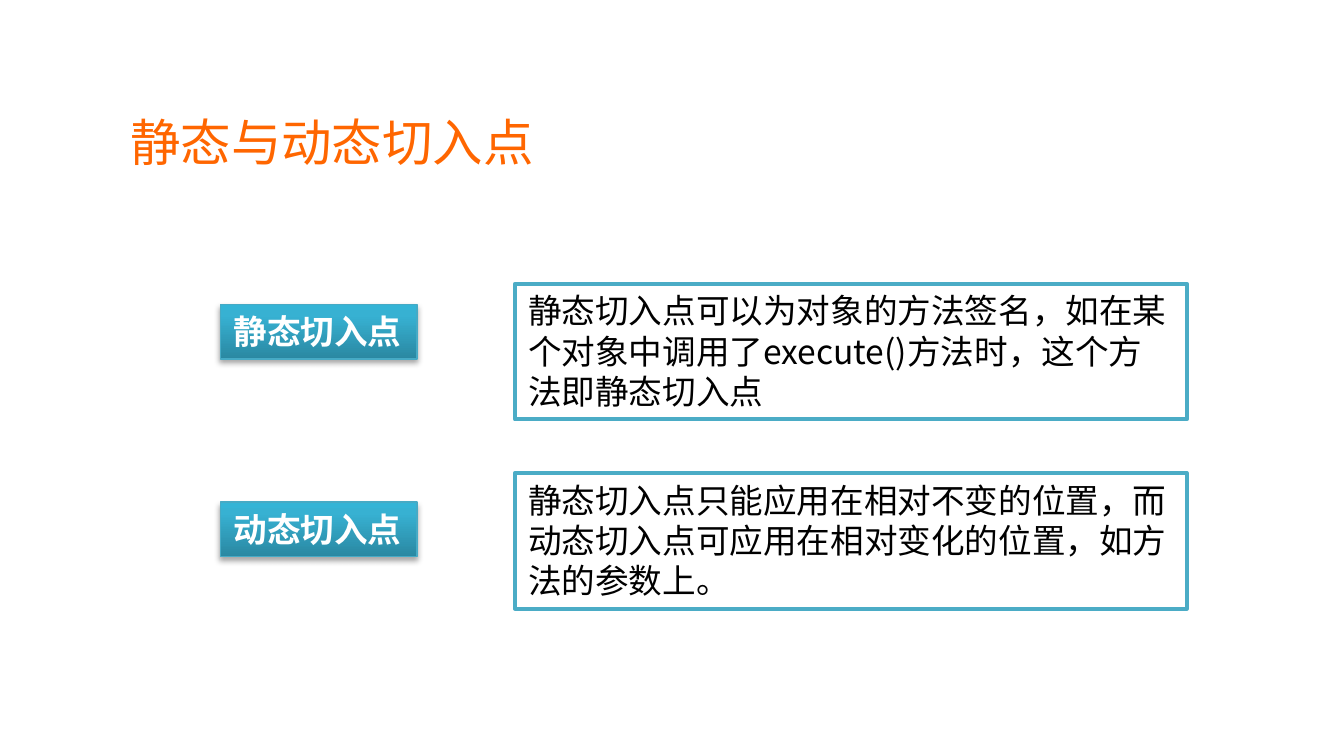
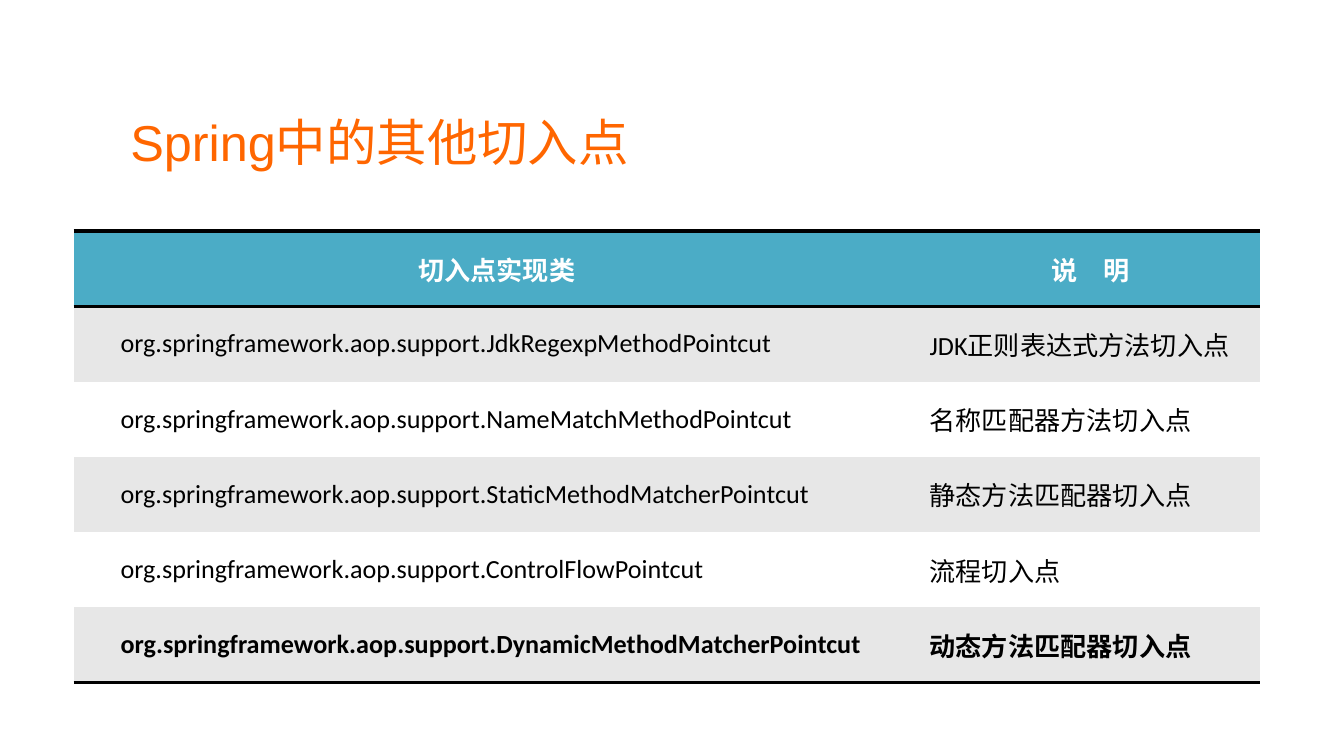
from lxml import etree
from copy import deepcopy
from pptx import Presentation
from pptx.dml.color import RGBColor
from pptx.enum.shapes import MSO_SHAPE
from pptx.enum.text import MSO_ANCHOR, MSO_AUTO_SIZE, PP_ALIGN
from pptx.oxml import parse_xml
from pptx.oxml.ns import nsdecls, qn
from pptx.util import Pt

ORANGE = RGBColor(0xFF, 0x66, 0x00)
TEAL = RGBColor(0x4B, 0xAC, 0xC6)
TEAL_EDGE = RGBColor(0x46, 0xAA, 0xC5)
TEAL_STOPS = [(0, RGBColor(0x2A, 0x88, 0xA2)),
              (0.8, RGBColor(0x37, 0xB1, 0xD2)),
              (1, RGBColor(0x34, 0xB4, 0xD6))]
GRAY = RGBColor(0xE7, 0xE7, 0xE7)
WHITE = RGBColor(0xFF, 0xFF, 0xFF)
BLACK = RGBColor(0, 0, 0)

TITLE_BOX = (64.8, 48.2, 514.8, 55.4)
NO_TABLE_STYLE = "{2D5ABB26-0587-4C30-8999-92F81FD0307C}"


def write(tf, text, size=18, font="Calibri", color=BLACK, bold=False,
          align=PP_ALIGN.LEFT):
    """Put text into the first paragraph and return that paragraph."""
    p = tf.paragraphs[0]
    p.alignment = align
    r = p.add_run()
    r.text = text
    r.font.size, r.font.name, r.font.bold = Pt(size), font, bold
    r.font.color.rgb = color
    return p


def set_insets(obj, x, y):
    obj.margin_left = obj.margin_right = Pt(x)
    obj.margin_top = obj.margin_bottom = Pt(y)


def add_titled_slide(prs, title):
    s = prs.slides.add_slide(prs.slide_layouts[5])
    sp = s.shapes.title
    sp.left, sp.top, sp.width, sp.height = map(Pt, TITLE_BOX)
    tf = sp.text_frame
    set_insets(tf, 5, 2.9)
    tf.vertical_anchor = MSO_ANCHOR.MIDDLE
    write(tf, title, size=27, font="Arial", color=ORANGE)
    return s


def add_box(s, box, line, width, wrap):
    sp = s.shapes.add_shape(MSO_SHAPE.RECTANGLE, *map(Pt, box))
    sp.shadow.inherit = False
    sp.line.color.rgb, sp.line.width = line, Pt(width)
    tf = sp.text_frame
    tf.word_wrap = wrap
    tf.auto_size = MSO_AUTO_SIZE.SHAPE_TO_FIT_TEXT
    tf.vertical_anchor = MSO_ANCHOR.TOP
    return sp


def add_label(s, box, text):
    """Gradient label with a soft shadow below it."""
    sp = add_box(s, box, TEAL_EDGE, 0.75, wrap=False)
    sp.fill.gradient()
    sp.fill.gradient_angle = 90
    stops = sp._element.spPr.find(qn("a:gradFill")).find(qn("a:gsLst"))
    stops.append(deepcopy(stops[-1]))
    for stop, (position, color) in zip(sp.fill.gradient_stops, TEAL_STOPS):
        stop.position, stop.color.rgb = position, color
    sp._element.spPr.find(qn("a:effectLst")).append(parse_xml(
        f'<a:outerShdw {nsdecls("a")} blurRad="{Pt(3.1)}" dist="{Pt(1.8)}" '
        'dir="5400000" rotWithShape="0"><a:srgbClr val="000000">'
        '<a:alpha val="35000"/></a:srgbClr></a:outerShdw>'))
    write(sp.text_frame, text, color=WHITE, bold=True)


def add_panel(s, box, text):
    """White outlined explanation."""
    sp = add_box(s, box, TEAL, 2, wrap=True)
    sp.fill.solid()
    sp.fill.fore_color.rgb = WHITE
    write(sp.text_frame, text, font="Noto Sans CJK SC")


def add_rule(cell, side):
    """Black 2 pt border; called before the fill is set."""
    ln = etree.SubElement(cell._tc.get_or_add_tcPr(), qn(f"a:{side}"),
                          w=str(Pt(2)))
    fill = etree.SubElement(ln, qn("a:solidFill"))
    etree.SubElement(fill, qn("a:srgbClr"), val=str(BLACK))


def add_pointcut_table(s, box, widths, rows):
    gf = s.shapes.add_table(len(rows), len(widths), *map(Pt, box))
    table = gf.table
    table.first_row = table.horz_banding = False
    table._tbl.tblPr.find(qn("a:tableStyleId")).text = NO_TABLE_STYLE
    for col, width in zip(table.columns, widths):
        col.width = Pt(width)
    last = len(rows) - 1
    for i, texts in enumerate(rows):
        table.rows[i].height = Pt(box[3] / len(rows))
        header = i == 0
        fill = TEAL if header else GRAY if i % 2 else WHITE
        for cell, text in zip(table.rows[i].cells, texts):
            if header:
                add_rule(cell, "lnT")
            if i in (0, last):
                add_rule(cell, "lnB")
            cell.fill.solid()
            cell.fill.fore_color.rgb = fill
            cell.vertical_anchor = MSO_ANCHOR.MIDDLE
            set_insets(cell, 0 if header else 5, 0)
            p = write(cell.text_frame, text, size=14,
                      color=WHITE if header else BLACK,
                      bold=i in (0, last),
                      align=PP_ALIGN.CENTER if header else PP_ALIGN.JUSTIFY)
            p.space_before = p.space_after = Pt(1.2)
            p._p.get_or_add_pPr().set("indent", str(Pt(20.2)))


prs = Presentation()
prs.slide_width, prs.slide_height = Pt(720), Pt(405)

# Static and dynamic pointcuts
s = add_titled_slide(prs, "静态与动态切入点")
labels = ["静态切入点", "动态切入点"]
panels = ["静态切入点可以为对象的方法签名，如在某个对象中调用了execute()方法时，"
          "这个方法即静态切入点",
          "静态切入点只能应用在相对不变的位置，而动态切入点可应用在相对变化的位置，"
          "如方法的参数上。"]
for i, text in enumerate(labels):
    add_label(s, (118, 163.2 + 105.8 * i, 105.4, 29.1), text)
for i, text in enumerate(panels):
    add_panel(s, (275.8, 152 + 101.4 * i, 360, 72.7), text)

# Other pointcut classes
s = add_titled_slide(prs, "Spring中的其他切入点")
classes = [("JdkRegexpMethodPointcut", "JDK正则表达式方法切入点"),
           ("NameMatchMethodPointcut", "名称匹配器方法切入点"),
           ("StaticMethodMatcherPointcut", "静态方法匹配器切入点"),
           ("ControlFlowPointcut", "流程切入点"),
           ("DynamicMethodMatcherPointcut", "动态方法匹配器切入点")]
rows = [("切入点实现类", "说\u3000明")]
rows += [(f"org.springframework.aop.support.{name}", note)
         for name, note in classes]
add_pointcut_table(s, (39.4, 123.8, 635.8, 242), (433.4, 202.4), rows)

prs.save("out.pptx")
